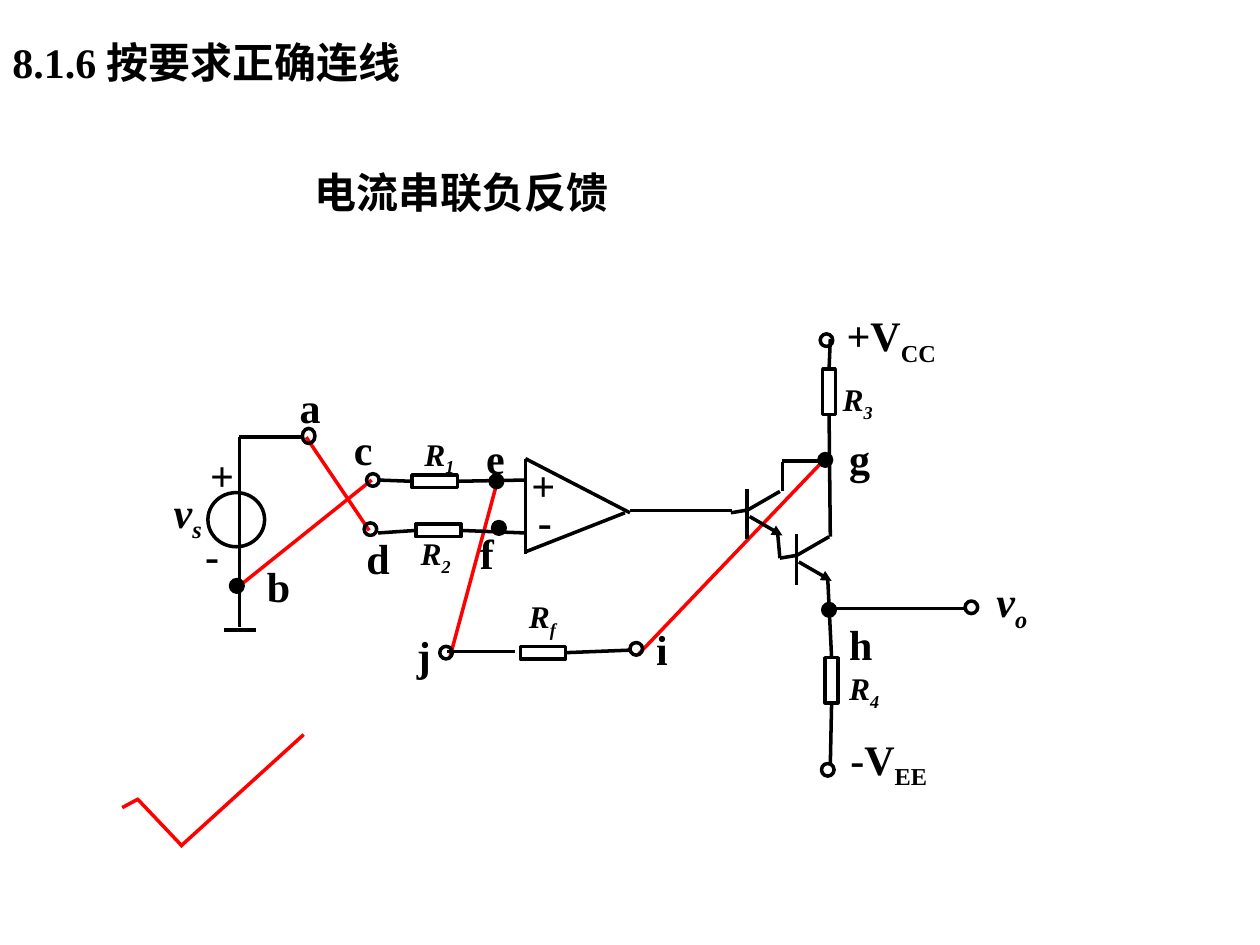
"""Build the slide on wiring a current-series negative feedback circuit."""
import pptx
import pptx.dml.color
import pptx.enum.shapes
import pptx.enum.text
import pptx.oxml
import pptx.oxml.ns
import pptx.util

Inches = pptx.util.Inches
SHAPES = pptx.enum.shapes.MSO_SHAPE
TOP, LEFT, BOTTOM, RIGHT = range(4)


def color(value):
    return pptx.dml.color.RGBColor.from_string(value)


def add_element(parent, tag, **attributes):
    element = pptx.oxml.parse_xml(f"<a:{tag} {pptx.oxml.ns.nsdecls('a')}/>")
    for name, value in attributes.items():
        element.set(name, value)
    parent.append(element)


class CircuitSlide:
    INK = "000000"
    RED = "FF0000"
    LINE_WIDTH = pptx.util.Pt(2)
    FONT = {"name": "Times New Roman", "bold": True}
    FRAME = {"word_wrap": True,
             "vertical_anchor": pptx.enum.text.MSO_ANCHOR.TOP}

    def __init__(self, presentation):
        self.slide = presentation.slides.add_slide(presentation.slide_layouts[6])

    def text(self, words, left, top, width=0.5, height=0.5, size=24,
             italic=False, subscript=""):
        box = self.slide.shapes.add_textbox(*map(Inches, (left, top, width, height)))
        for name, value in self.FRAME.items():
            setattr(box.text_frame, name, value)
        paragraph = box.text_frame.paragraphs[0]
        font = {**self.FONT, "size": pptx.util.Pt(size), "italic": italic}
        for part in filter(None, (words, subscript)):
            run = paragraph.add_run()
            run.text = part
            for name, value in font.items():
                setattr(run.font, name, value)
            run.font.color.rgb = color(self.INK)
        if subscript:
            run._r.get_or_add_rPr().set("baseline", "-25000")

    def line(self, x1, y1, x2, y2, ink=INK, arrow=False):
        connector = self.slide.shapes.add_connector(
            pptx.enum.shapes.MSO_CONNECTOR.STRAIGHT, *map(Inches, (x1, y1, x2, y2)))
        connector.line.color.rgb = color(ink)
        connector.line.width = self.LINE_WIDTH
        if arrow:
            add_element(connector.line._get_or_add_ln(), "tailEnd", type="triangle")
        add_element(connector._element.spPr, "effectLst")
        return connector

    def lead(self, resistor, site, x, y):
        self.line(x, y, x, y).begin_connect(resistor, site)

    def outline(self, kind, left, top, width, height, filled=False):
        shape = self.slide.shapes.add_shape(
            kind, *map(Inches, (left, top, width, height)))
        shape.shadow.inherit = False
        if filled:
            shape.fill.solid()
            shape.fill.fore_color.rgb = color(self.INK)
        else:
            shape.fill.background()
        shape.line.color.rgb = color(self.INK)
        shape.line.width = self.LINE_WIDTH
        return shape

    def resistor(self, left, top, upright=False):
        width, height = (0.1, 0.36) if upright else (0.36, 0.1)
        return self.outline(SHAPES.RECTANGLE, left, top, width, height)

    def terminal(self, left, top, filled=False, height=0.1):
        self.outline(SHAPES.OVAL, left, top, 0.1, height, filled)

    def transistor(self, x, y):
        self.line(x, y - 0.17, x, y + 0.23)
        self.line(x, y, x + 0.26, y - 0.15)
        self.line(x + 0.02, y + 0.05, x + 0.28, y + 0.2, arrow=True)
        self.line(x - 0.01, y, x - 0.13, y + 0.02)


def draw_wires(circuit):
    answers = [
        (2.43, 3.47, 2.93, 4.21), (2.95, 3.81, 1.9, 4.65),
        (6.55, 3.64, 5.07, 5.19), (3.95, 3.81, 3.57, 5.22),
    ]
    check_mark = [
        (0.97, 6.41, 1.1, 6.34), (1.09, 6.34, 1.45, 6.72), (1.43, 6.72, 2.41, 5.83),
    ]
    for ends in answers + check_mark:
        circuit.line(*ends, ink=circuit.RED)

    amplifier = [
        (4.17, 3.64, 4.17, 4.4), (4.17, 3.64, 5, 4.07), (4.96, 4.07, 4.17, 4.38),
        (5, 4.05, 5.81, 4.05),
    ]
    source = [
        (1.9, 3.47, 1.9, 4.98), (1.78, 5, 2.03, 5), (1.9, 3.47, 2.4, 3.47),
    ]
    output = [
        (6.17, 4.21, 6.19, 4.43), (6.21, 3.9, 6.21, 3.67), (6.21, 3.66, 6.59, 3.66),
        (6.59, 4.83, 7.67, 4.83), (3.55, 5.17, 4.09, 5.17),
    ]
    for ends in amplifier + source + output:
        circuit.line(*ends)
    circuit.transistor(5.93, 4.05)
    circuit.transistor(6.32, 4.41)


def draw_resistors(circuit):
    r1 = circuit.resistor(3.27, 3.77)
    r2 = circuit.resistor(3.3, 4.16)
    rf = circuit.resistor(4.13, 5.13)
    r3 = circuit.resistor(6.53, 2.93, upright=True)
    r4 = circuit.resistor(6.55, 5.22, upright=True)
    for lead in [
        (r1, LEFT, 3, 3.81), (r1, RIGHT, 4.17, 3.81),
        (r2, LEFT, 3, 4.23), (r2, RIGHT, 4.17, 4.23),
        (rf, RIGHT, 5, 5.16),
        (r3, TOP, 6.59, 2.69), (r3, BOTTOM, 6.59, 4.26),
        (r4, TOP, 6.57, 4.6), (r4, BOTTOM, 6.59, 6.07),
    ]:
        circuit.lead(*lead)


def draw_terminals(circuit):
    circuit.outline(SHAPES.OVAL, 1.65, 3.91, 0.45, 0.43)
    circuit.terminal(2.4, 3.4, height=0.12)
    for place in [(2.91, 3.76), (2.89, 4.15), (6.51, 2.65), (6.52, 6.06),
                  (7.66, 4.77), (3.49, 5.13), (5, 5.1)]:
        circuit.terminal(*place)
    for place in [(3.89, 3.77), (3.91, 4.14), (6.5, 3.6), (6.53, 4.79), (1.83, 4.6)]:
        circuit.terminal(*place, filled=True)


def draw_labels(circuit):
    circuit.text("8.1.6 按要求正确连线", 0, 0.24, 8.4)
    circuit.text("电流串联负反馈", 2.4, 1.27, 4.74)
    for subscript, left, top in [("1", 3.27, 3.4), ("2", 3.24, 4.19), ("f", 4.1, 4.69),
                                 ("3", 6.59, 2.97), ("4", 6.64, 5.26)]:
        circuit.text("R", left, top, 0.73, 0.4, 18, True, subscript)
    for words, left, top in [
        ("+", 4.12, 3.6), ("-", 4.17, 3.88), ("+", 1.57, 3.52), ("-", 1.53, 4.15),
        ("a", 2.28, 2.98), ("b", 2.02, 4.4), ("c", 2.71, 3.31), ("d", 2.81, 4.18),
        ("e", 3.76, 3.38), ("f", 3.71, 4.14), ("g", 6.64, 3.38), ("h", 6.64, 4.86),
        ("i", 5.11, 4.9), ("j", 3.21, 4.95),
    ]:
        circuit.text(words, left, top)
    circuit.text("v", 1.28, 3.81, 0.57, italic=True, subscript="s")
    circuit.text("v", 7.81, 4.52, 0.59, 1.1, italic=True, subscript="o")
    circuit.text("+V", 6.62, 2.41, 1.28, subscript="CC")
    circuit.text("-V", 6.65, 5.77, 1.28, subscript="EE")


def main():
    presentation = pptx.Presentation()
    presentation.slide_width = Inches(10)
    presentation.slide_height = Inches(7.5)
    circuit = CircuitSlide(presentation)
    draw_wires(circuit)
    draw_resistors(circuit)
    draw_terminals(circuit)
    draw_labels(circuit)
    presentation.save("out.pptx")


if __name__ == "__main__":
    main()
